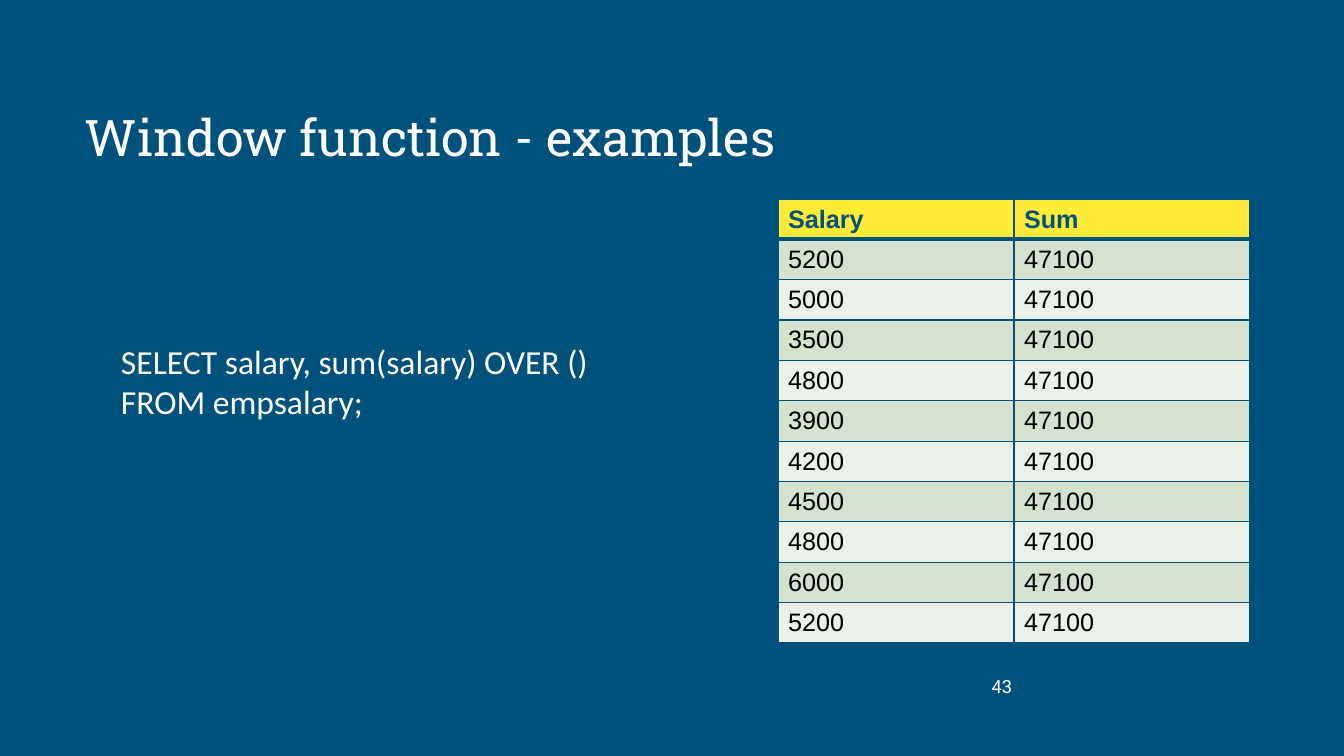
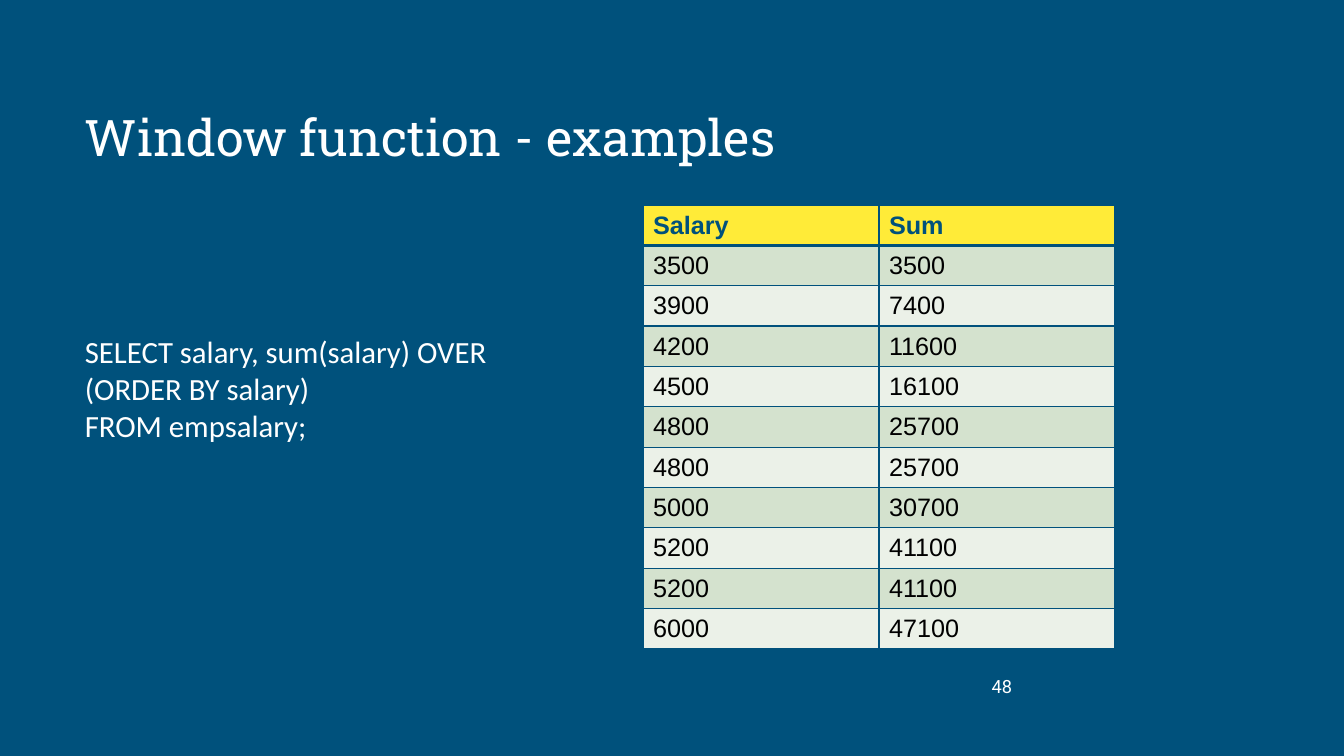
from dataclasses import dataclass

from lxml.etree import SubElement as SubEl
from pptx import Presentation
from pptx.dml.color import RGBColor as RGB
from pptx.enum.text import MSO_ANCHOR as Anchor, MSO_AUTO_SIZE as AutoSize, PP_ALIGN as Align
from pptx.oxml.ns import qn
from pptx.slide import Slide
from pptx.table import _Cell as Cell
from pptx.text.text import TextFrame
from pptx.util import Emu, Pt

SLIDE_W, SLIDE_H = 1344, 756
EMU_PER_PX = 12192000 / SLIDE_W


@dataclass(frozen=True)
class Theme:
    """Colours, fonts and type sizes of the deck."""

    navy: str = "00517C"
    white: str = "FFFFFF"
    black: str = "000000"
    yellow: str = "FFEB38"
    bands: tuple[str, str] = ("D4E2CE", "EBF1E8")
    title_font: str = "Roboto Slab"
    query_font: str = "Calibri"
    table_font: str = "Arial"
    number_font: str = "Roboto"
    title_size: int = 36
    table_size: int = 18
    number_size: int = 13
    rule: int = 1
    header_rule: int = 3


@dataclass(frozen=True)
class Box:
    """A rectangle in px."""

    x: int
    y: int
    w: int
    h: int


@dataclass(frozen=True)
class Example:
    """One query with its result."""

    number: int
    query: str
    query_size: int
    query_box: Box
    table_x: int
    table_y: int
    salaries: tuple[int, ...]
    sums: tuple[int, ...]


THEME = Theme()
TITLE = "Window function - examples"
TITLE_BOX = Box(75, 68, 948, 145)
NUMBER_BOX = Box(947, 666, 75, 40)
HEADERS = ("Salary", "Sum")
COL_W, ROW_H = 236, 38

EXAMPLES = (
    Example(
        43,
        "SELECT salary, sum(salary) OVER () FROM empsalary;",
        24,
        Box(111, 336, 555, 92),
        778,
        199,
        (5200, 5000, 3500, 4800, 3900, 4200, 4500, 4800, 6000, 5200),
        (47100,) * 10,
    ),
    Example(
        48,
        "SELECT salary, sum(salary) OVER (ORDER BY salary)\nFROM empsalary;",
        22,
        Box(75, 328, 472, 122),
        643,
        205,
        (3500, 3900, 4200, 4500, 4800, 4800, 5000, 5200, 5200, 6000),
        (3500, 7400, 11600, 16100, 25700, 25700, 30700, 41100, 41100, 47100),
    ),
)


def px(n: int) -> Emu:
    """Turn px into EMU."""
    return Emu(round(n * EMU_PER_PX))


def write(tf: TextFrame, text: str, *, font: str, size: int, color: str = THEME.white,
          bold: bool = False, align: Align = Align.LEFT, spacing: float = 1.0) -> None:
    """Fill a text frame, one paragraph per line of text."""
    for i, line in enumerate(text.split("\n")):
        p = tf.add_paragraph() if i else tf.paragraphs[0]
        p.alignment = align
        p.line_spacing = spacing
        r = p.add_run()
        r.text = line
        r.font.name = font
        r.font.size = Pt(size)
        r.font.bold = bold
        r.font.color.rgb = RGB.from_string(color)


def add_box(s: Slide, box: Box, anchor: Anchor = Anchor.MIDDLE) -> TextFrame:
    """Add a wrapping text box and return its frame."""
    tf = s.shapes.add_textbox(px(box.x), px(box.y), px(box.w), px(box.h)).text_frame
    tf.word_wrap = True
    tf.vertical_anchor = anchor
    return tf


def set_borders(cell: Cell, *, top: int, bottom: int) -> None:
    """Rule all four sides of a cell, widths in points."""
    tc_pr = cell._tc.get_or_add_tcPr()
    widths = {"L": THEME.rule, "R": THEME.rule, "T": top, "B": bottom}
    for side, width in widths.items():
        ln = SubEl(tc_pr, qn(f"a:ln{side}"), w=str(Pt(width)))
        SubEl(SubEl(ln, qn("a:solidFill")), qn("a:srgbClr"), val=THEME.navy)


def add_result(s: Slide, ex: Example) -> None:
    """Add the result table with a header and banded rows."""
    rows = (HEADERS, *zip(ex.salaries, ex.sums, strict=True))
    table = s.shapes.add_table(
        len(rows), len(HEADERS), px(ex.table_x), px(ex.table_y),
        px(COL_W * len(HEADERS)), px(ROW_H * len(rows)),
    ).table
    for col in table.columns:
        col.width = px(COL_W)
    for i, values in enumerate(rows):
        header = i == 0
        table.rows[i].height = px(ROW_H)
        for j, value in enumerate(values):
            cell = table.cell(i, j)
            set_borders(
                cell,
                top=THEME.header_rule if i == 1 else THEME.rule,
                bottom=THEME.header_rule if header else THEME.rule,
            )
            cell.fill.solid()
            fill = THEME.yellow if header else THEME.bands[(i - 1) % 2]
            cell.fill.fore_color.rgb = RGB.from_string(fill)
            cell.vertical_anchor = Anchor.BOTTOM if header else Anchor.MIDDLE
            write(cell.text_frame, str(value), font=THEME.table_font, size=THEME.table_size,
                  color=THEME.navy if header else THEME.black, bold=header)


def add_example(prs: Presentation, ex: Example) -> None:
    """Add one example slide."""
    s = prs.slides.add_slide(prs.slide_layouts[6])
    write(add_box(s, TITLE_BOX), TITLE, font=THEME.title_font, size=THEME.title_size, spacing=0.9)
    add_result(s, ex)
    write(add_box(s, NUMBER_BOX), str(ex.number), font=THEME.number_font,
          size=THEME.number_size, align=Align.RIGHT)
    tf = add_box(s, ex.query_box, Anchor.TOP)
    tf.auto_size = AutoSize.SHAPE_TO_FIT_TEXT
    write(tf, ex.query, font=THEME.query_font, size=ex.query_size)


def main() -> None:
    """Build and save the deck."""
    prs = Presentation()
    prs.slide_width, prs.slide_height = px(SLIDE_W), px(SLIDE_H)
    fill = prs.slide_master.background.fill
    fill.solid()
    fill.fore_color.rgb = RGB.from_string(THEME.navy)
    for ex in EXAMPLES:
        add_example(prs, ex)
    prs.save("out.pptx")


if __name__ == "__main__":
    main()
